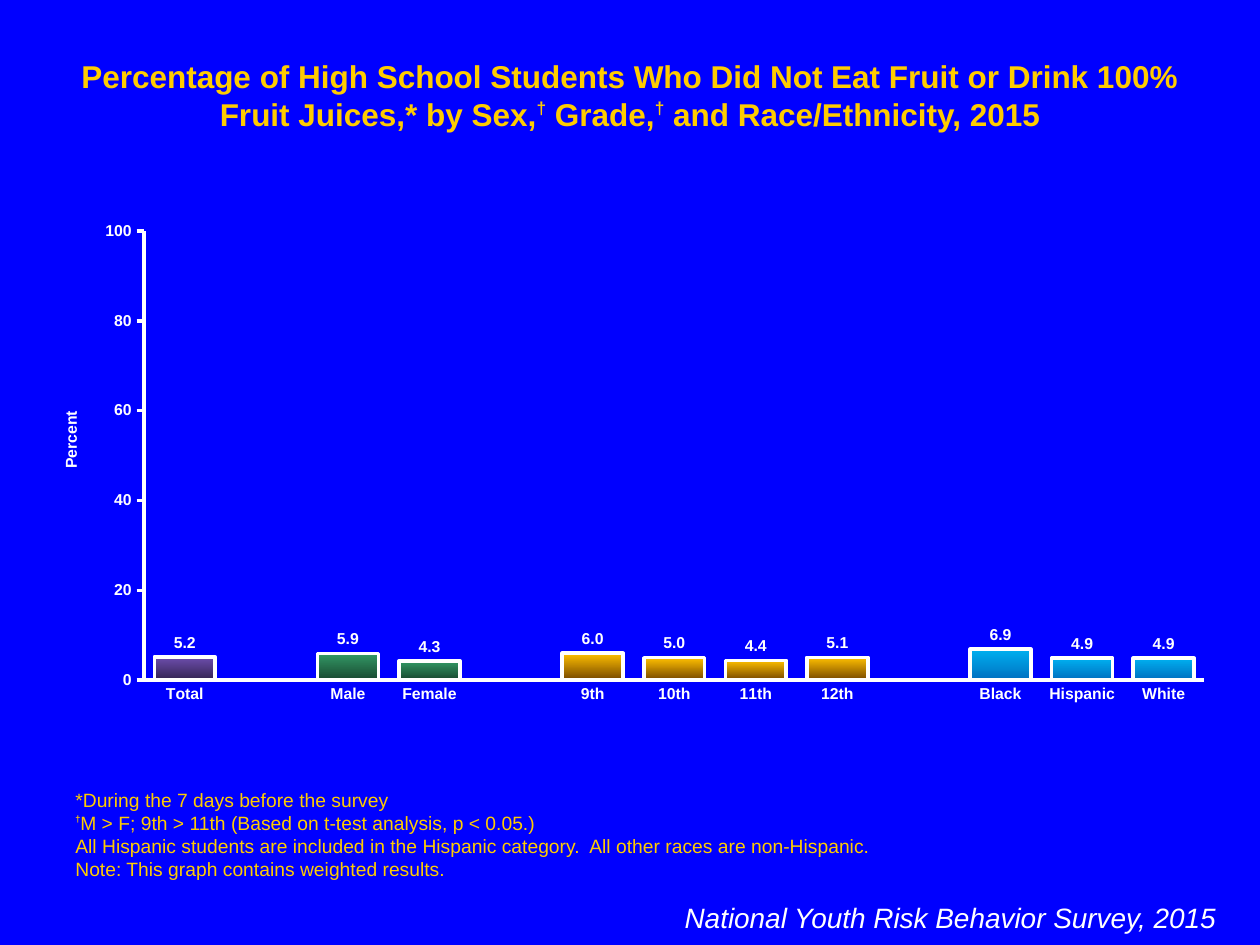
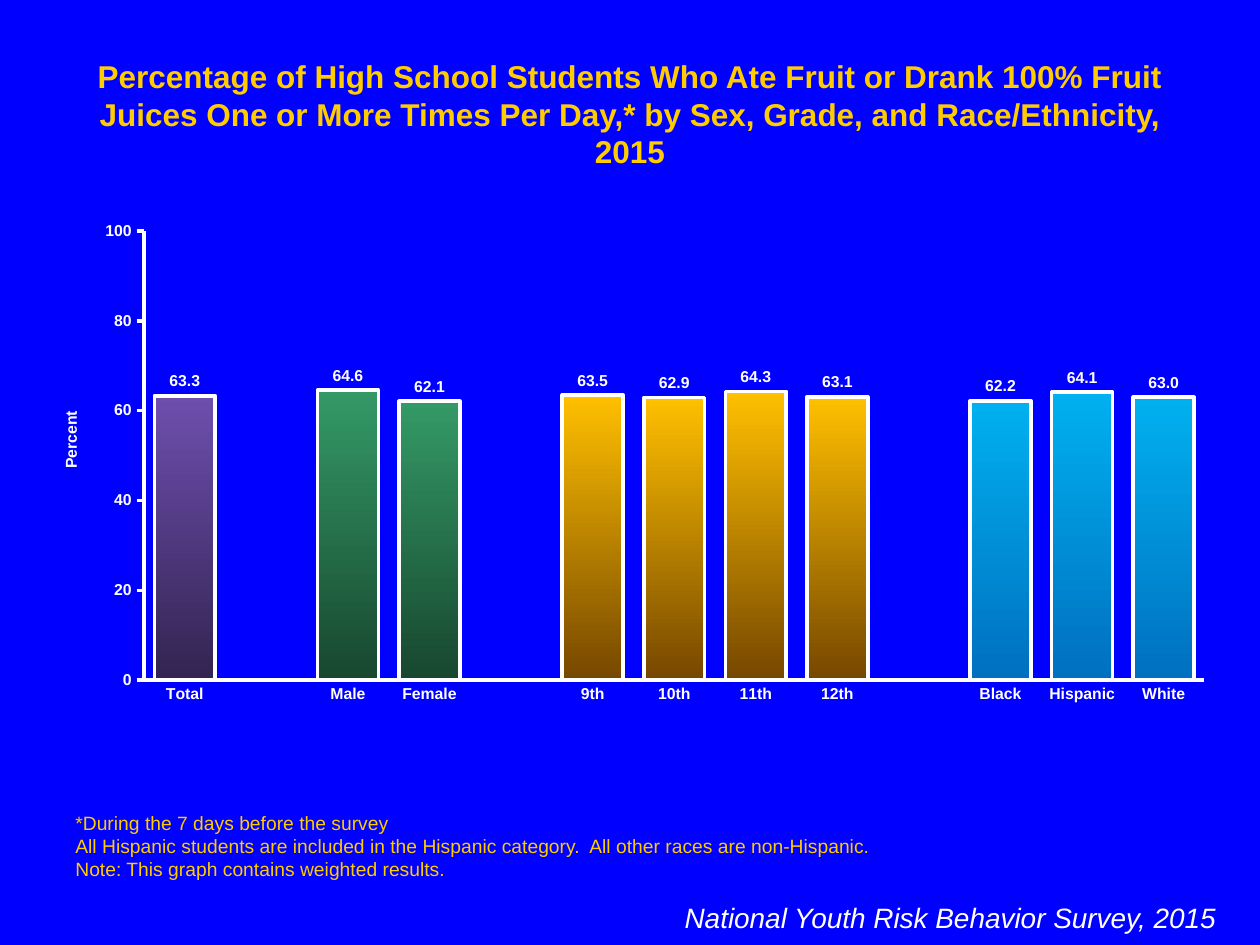
from lxml import etree
from pptx import Presentation
from pptx.chart.data import CategoryChartData
from pptx.dml.color import RGBColor
from pptx.enum.chart import XL_CHART_TYPE, XL_LABEL_POSITION, XL_TICK_MARK
from pptx.enum.text import MSO_ANCHOR, MSO_AUTO_SIZE, PP_ALIGN
from pptx.oxml.ns import qn
from pptx.util import Pt

COLUMNS = XL_CHART_TYPE.COLUMN_CLUSTERED
OUTSIDE_END = XL_LABEL_POSITION.OUTSIDE_END
TICK_NONE, TICK_OUT = XL_TICK_MARK.NONE, XL_TICK_MARK.OUTSIDE
TOP, BOTTOM = MSO_ANCHOR.TOP, MSO_ANCHOR.BOTTOM
LEFT, CENTER, RIGHT = PP_ALIGN.LEFT, PP_ALIGN.CENTER, PP_ALIGN.RIGHT

# Content
SURVEY = "National Youth Risk Behavior Survey, 2015"
PERIOD_NOTE = "*During the 7 days before the survey"
COMMON_NOTES = [
    "All Hispanic students are included in the Hispanic category.  "
    "All other races are non-Hispanic.",
    "Note: This graph contains weighted results.",
]
# Each group: bar labels, top colour, bottom colour, brightness of the bottom
GROUPS = [
    (["Total"], "purple", "dark purple", -0.35),
    (["Male", "Female"], "green", "dark green", 0),
    (["9th", "10th", "11th", "12th"], "gold", "brown", -0.35),
    (["Black", "Hispanic", "White"], "sky", "dark sky", 0),
]
PAGES = [
    {
        "title": "Percentage of High School Students Who Did Not Eat Fruit or Drink "
                 "100% Fruit Juices,* by Sex,† Grade,† and Race/Ethnicity, 2015",
        "notes": [PERIOD_NOTE,
                  "†M > F; 9th > 11th (Based on t-test analysis, p < 0.05.)"],
        "percents": [[5.2], [5.9, 4.3], [6.0, 5.0, 4.4, 5.1], [6.9, 4.9, 4.9]],
    },
    {
        "title": "Percentage of High School Students Who Ate Fruit or Drank 100% Fruit "
                 "Juices One or More Times Per Day,* by Sex, Grade, and "
                 "Race/Ethnicity, 2015",
        "notes": [PERIOD_NOTE],
        "percents": [[63.3], [64.6, 62.1], [63.5, 62.9, 64.3, 63.1],
                     [62.2, 64.1, 63.0]],
    },
]

# Shared style, lengths in points
FONT = "Arial"
COLORS = {
    "background": "0000FF", "yellow": "FFCC00", "white": "FFFFFF",
    "purple": "6E4EAE", "dark purple": "4F387C",
    "green": "339966", "dark green": "18472F",
    "gold": "FFC000", "brown": "B66D00",
    "sky": "00B0F0", "dark sky": "0070C0", "series": "26CA59",
}
TITLE_BOX = (36, 28.8, 648, 28.8)
NOTES_BOX = (36, 486, 648, 20.88)
SURVEY_BOX = (306, 511.2, 396, 46.08)
CHART_BOX = (18, 121.68, 684, 286.56)
PLOT_LAYOUT = {"x": 0.094, "y": 0.036, "w": 0.886, "h": 0.896}
AXIS_TITLE_LAYOUT = {"x": 0.022, "y": 0.389}


def color(name):
    return RGBColor.from_string(COLORS[name])


def set_font(font, size, ink="white", bold=False, italic=False):
    font.name, font.size = FONT, Pt(size)
    font.bold, font.italic = bold, italic
    font.color.rgb = color(ink)


def write(box, lines, size, ink, align=LEFT, anchor=TOP, bold=False, italic=False,
          mark_size=None, mark_raise=0, mark_bold=True):
    """Fill a box with one paragraph per line; daggers become raised marks."""
    frame = box.text_frame
    frame.word_wrap = True
    frame.auto_size = MSO_AUTO_SIZE.SHAPE_TO_FIT_TEXT
    frame.vertical_anchor = anchor
    for number, line in enumerate(lines):
        paragraph = frame.paragraphs[0] if number == 0 else frame.add_paragraph()
        paragraph.alignment = align
        for part in line.replace("†", "\n†\n").split("\n"):
            if not part:
                continue
            run = paragraph.add_run()
            run.text = part
            if part == "†":
                set_font(run.font, mark_size, ink, mark_bold, italic)
                run.font._element.set("baseline", str(mark_raise * 1000))
            else:
                set_font(run.font, size, ink, bold, italic)


def place(shape, box):
    shape.left, shape.top, shape.width, shape.height = map(Pt, box)


def set_layout(element, fractions, inner=False):
    """Give a plot area or axis title a fixed place within its chart."""
    for old in element.findall(qn("c:layout")):
        element.remove(old)
    layout = etree.Element(qn("c:layout"))
    manual = etree.SubElement(layout, qn("c:manualLayout"))
    settings = [("layoutTarget", "inner")] if inner else []
    settings += [(f"{key}Mode", "edge") for key in ("x", "y")]
    settings += fractions.items()
    for tag, value in settings:
        etree.SubElement(manual, qn(f"c:{tag}")).set("val", str(value))
    text = element.find(qn("c:tx"))
    element.insert(0 if text is None else element.index(text) + 1, layout)


def style_axis(axis, tick):
    axis.has_major_gridlines = False
    axis.major_tick_mark, axis.minor_tick_mark = tick, TICK_NONE
    set_font(axis.tick_labels.font, 9, bold=True)
    axis.format.line.color.rgb = color("white")
    axis.format.line.width = Pt(2)


def add_percent_chart(slide, percents):
    # One empty category separates neighbouring groups
    labels, values, fills = [], [], []
    for (names, *fill), numbers in zip(GROUPS, percents):
        if labels:
            labels.append("")
            values.append(None)
            fills.append(None)
        labels += names
        values += numbers
        fills += [fill] * len(names)

    data = CategoryChartData(number_format="General")
    data.categories = labels
    data.add_series("Series 1", values)
    chart = slide.shapes.add_chart(COLUMNS, *map(Pt, CHART_BOX), data).chart
    chart.has_legend = chart.has_title = False
    set_font(chart.font, 18)

    # Axes
    style_axis(chart.category_axis, TICK_NONE)
    percent_axis = chart.value_axis
    style_axis(percent_axis, TICK_OUT)
    percent_axis.minimum_scale, percent_axis.maximum_scale = 0, 100
    percent_axis.major_unit = 20
    heading = percent_axis.axis_title
    heading.text_frame.text = "Percent"
    set_font(heading.text_frame.paragraphs[0].runs[0].font, 9, bold=True)
    heading.text_frame._txBody.bodyPr.set("rot", "-5400000")
    heading.text_frame._txBody.bodyPr.set("vert", "horz")
    set_layout(heading._element, AXIS_TITLE_LAYOUT)
    set_layout(chart._chartSpace.chart.plotArea, PLOT_LAYOUT, inner=True)

    # Bars and their values
    plot = chart.plots[0]
    plot.gap_width, plot.overlap, plot.vary_by_categories = 34, 100, False
    plot.has_data_labels = True
    value_labels = plot.data_labels
    value_labels.show_value = True
    value_labels.number_format = "#,##0.0"
    value_labels.number_format_is_linked = False
    value_labels.position = OUTSIDE_END
    set_font(value_labels.font, 9, bold=True)
    bars = plot.series[0]
    bars.format.fill.solid()
    bars.format.fill.fore_color.rgb = color("series")
    for index, fill in enumerate(fills):
        if fill is None:
            continue
        upper, lower, brightness = fill
        look = bars.points[index].format
        look.fill.gradient()
        look.fill.gradient_angle = 270
        first, last = look.fill.gradient_stops
        first.color.rgb, last.color.rgb = color(upper), color(lower)
        first.position, last.position = 0, 1
        if brightness:
            last.color.brightness = brightness
        look.line.color.rgb = color("white")
        look.line.width = Pt(2)


def add_page(deck, page):
    slide = deck.slides.add_slide(deck.slide_layouts[5])
    title = slide.shapes.title
    place(title, TITLE_BOX)
    write(title, [page["title"]], 18, "yellow", CENTER, bold=True,
          mark_size=17, mark_raise=40)
    notes = slide.shapes.add_textbox(*map(Pt, NOTES_BOX))
    write(notes, page["notes"] + COMMON_NOTES, 11, "yellow", anchor=BOTTOM,
          mark_size=9, mark_raise=50)
    survey = slide.shapes.add_textbox(*map(Pt, SURVEY_BOX))
    write(survey, [SURVEY], 16, "white", RIGHT, italic=True)
    add_percent_chart(slide, page["percents"])


def main():
    deck = Presentation()
    deck.slide_width, deck.slide_height = Pt(720), Pt(540)
    backdrop = deck.slide_master.background.fill
    backdrop.solid()
    backdrop.fore_color.rgb = color("background")
    for page in PAGES:
        add_page(deck, page)
    deck.save("out.pptx")


if __name__ == "__main__":
    main()
